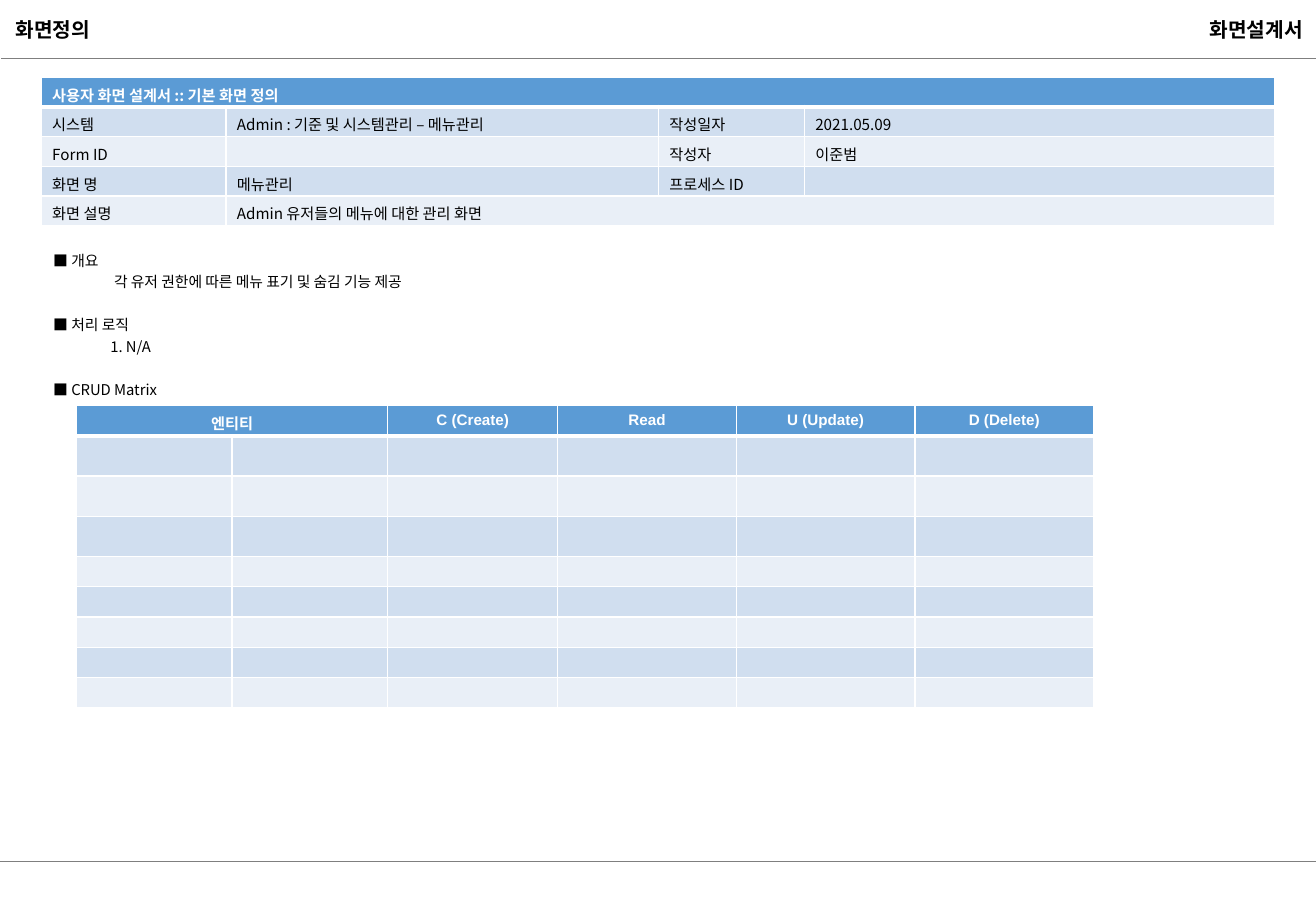
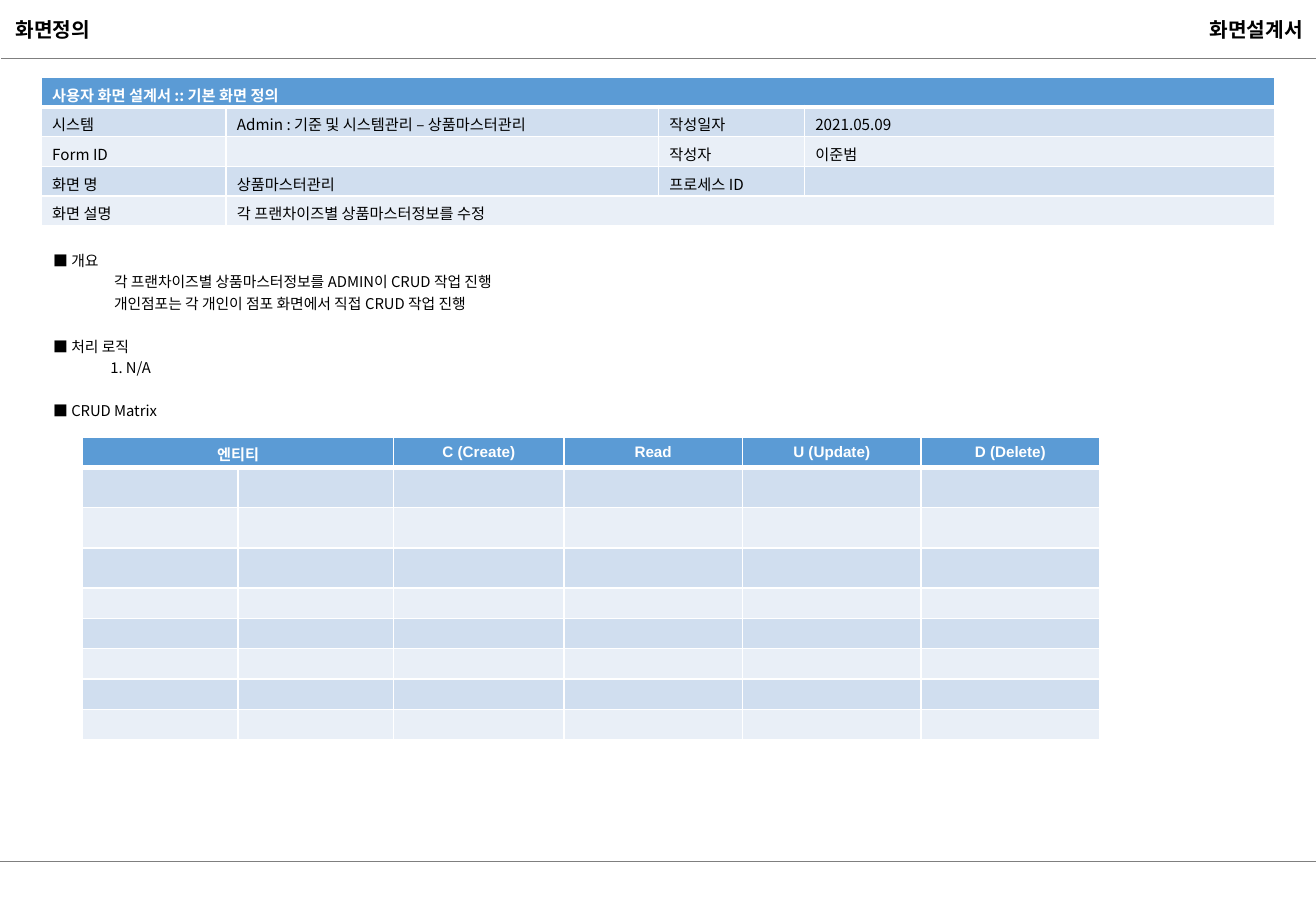
from lxml.etree import SubElement
from pptx import Presentation
from pptx.dml.color import RGBColor
from pptx.enum.shapes import MSO_CONNECTOR as Connector
from pptx.enum.text import MSO_ANCHOR as Anchor, PP_ALIGN as Align
from pptx.oxml.ns import qn
from pptx.util import Inches, Pt

KOREAN, LATIN = "Noto Sans CJK KR", "Arial"
BLACK, WHITE, RULE = "000000", "FFFFFF", "7F7F7F"
HEADER, BANDS = "5B9BD5", ("D0DEEF", "E9EFF7")
LINE_PITCH = 12.75

TITLE_STYLE = dict(name=KOREAN, size=Pt(12), bold=True)
CELL_STYLE = dict(name=KOREAN, size=Pt(9), bold=False)
INFO_HEADER_STYLE = dict(CELL_STYLE, bold=True)
CRUD_HEADER_STYLE = dict(INFO_HEADER_STYLE, name=LATIN)
BODY_STYLE = dict(name=KOREAN, size=Pt(8.8))

INFO_COLS = (1.52, 3.56, 1.2, 3.87)
INFO_ROWS = (0.24,) + (0.245,) * 4
CRUD_COLS = (1.28, 1.28, 1.4, 1.47, 1.47, 1.47)
CRUD_ROWS = (0.25,) + (0.33,) * 3 + (0.25,) * 5
CRUD_HEADINGS = ["엔티티", "", "C (Create)", "Read", "U (Update)", "D (Delete)"]

SCREENS = [
    dict(name="메뉴관리",
         description="Admin 유저들의 메뉴에 대한 관리 화면",
         overview=["각 유저 권한에 따른 메뉴 표기 및 숨김 기능 제공"],
         crud_at=(0.63, 3.34)),
    dict(name="상품마스터관리",
         description="각 프랜차이즈별 상품마스터정보를 수정",
         overview=["각 프랜차이즈별 상품마스터정보를 ADMIN이 CRUD 작업 진행",
                   "개인점포는 각 개인이 점포 화면에서 직접 CRUD 작업 진행"],
         crud_at=(0.68, 3.6)),
]


def rgb(value):
    return RGBColor.from_string(value)


def write(paragraph, text, style, color=BLACK):
    run = paragraph.add_run()
    run.text = text
    for key, value in style.items():
        setattr(run.font, key, value)
    run.font.color.rgb = rgb(color)
    SubElement(run.font._element, qn("a:ea"), typeface=KOREAN)


def place(shape, left, top, width, height):
    box = dict(left=left, top=top, width=width, height=height)
    for key, value in box.items():
        setattr(shape, key, Inches(value))


def write_heading(shape, text, align, box):
    """Bold line in the top band."""
    place(shape, *box)
    frame = shape.text_frame
    frame.word_wrap = False
    frame.vertical_anchor = Anchor.MIDDLE
    frame.paragraphs[0].alignment = align
    write(frame.paragraphs[0], text, TITLE_STYLE)


def add_rule(slide, left, y):
    rule = slide.shapes.add_connector(
        Connector.STRAIGHT, Inches(left), Inches(y), Inches(10.83), Inches(y))
    rule.line.color.rgb = rgb(RULE)
    rule.line.width = Pt(0.75)
    SubElement(rule._element.spPr, qn("a:effectLst"))
    return rule


def share_frame(slide):
    """Rules and document name, moved to the layout so every slide shows them."""
    document_name = slide.shapes.add_textbox(0, 0, 0, 0)
    write_heading(document_name, "화면설계서", Align.RIGHT, (7.75, 0.09, 3.07, 0.3))
    parts = [add_rule(slide, 0, 7.09), add_rule(slide, 0.01, 0.48), document_name]
    for part in parts:
        slide.slide_layout.shapes._spTree.append(part._element)


def set_borders(cell, row):
    widths = dict(L=1, R=1, T=3 if row == 1 else 1, B=3 if row == 0 else 1)
    for side, width in widths.items():
        line = SubElement(cell._tc.get_or_add_tcPr(), qn(f"a:ln{side}"), w=str(Pt(width)))
        fill = SubElement(line, qn("a:solidFill"))
        SubElement(fill, qn("a:srgbClr"), val=WHITE)


def add_banded_table(slide, left, top, cols, rows, texts, header_style, header_align, inset):
    table = slide.shapes.add_table(
        len(rows), len(cols), Inches(left), Inches(top),
        Inches(sum(cols)), Inches(sum(rows))).table
    table.first_row = table.horz_banding = False
    for column, width in zip(table.columns, cols):
        column.width = Inches(width)
    for r, height in enumerate(rows):
        table.rows[r].height = Inches(height)
        for c, text in enumerate(texts[r]):
            cell = table.cell(r, c)
            set_borders(cell, r)
            cell.fill.solid()
            cell.fill.fore_color.rgb = rgb(BANDS[(r - 1) % 2] if r else HEADER)
            cell.margin_left = cell.margin_right = Inches(inset)
            cell.margin_top, cell.margin_bottom = Inches(0.05), 0
            paragraph = cell.text_frame.paragraphs[0]
            if text:
                paragraph.alignment = Align.LEFT if r else header_align
                write(paragraph, text, CELL_STYLE if r else header_style,
                      BLACK if r else WHITE)
            else:
                # Keeps the row from growing to the default text size
                SubElement(paragraph._p, qn("a:endParaRPr"), sz="900")
    return table


def add_info_table(slide, left, top, name, description):
    texts = [
        ["사용자 화면 설계서 :: 기본 화면 정의", "", "", ""],
        ["시스템", f"Admin : 기준 및 시스템관리 – {name}", "작성일자", "2021.05.09"],
        ["Form ID", "", "작성자", "이준범"],
        ["화면 명", name, "프로세스 ID", ""],
        ["화면 설명", description, "", ""],
    ]
    table = add_banded_table(slide, left, top, INFO_COLS, INFO_ROWS, texts,
                             INFO_HEADER_STYLE, Align.LEFT, 0.09)
    table.cell(0, 0).merge(table.cell(0, 3))
    table.cell(4, 1).merge(table.cell(4, 3))


def add_sections(slide, box, overview):
    """Headed sections above the CRUD table."""
    body = slide.shapes.add_textbox(0, 0, 0, 0)
    place(body, *box)
    frame = body.text_frame
    frame.word_wrap = True
    sections = [("개요", 0.5, overview), ("처리 로직", 0.47, ["1. N/A"]),
                ("CRUD Matrix", 0, [])]
    for i, (heading, indent, lines) in enumerate(sections):
        for j, text in enumerate([f"■ {heading}", *lines]):
            first = i == j == 0
            paragraph = frame.paragraphs[0] if first else frame.add_paragraph()
            paragraph.line_spacing = Pt(LINE_PITCH)
            if j:
                paragraph.level = 1
                paragraph._p.get_or_add_pPr().set("marL", str(Inches(indent)))
            elif i:
                paragraph.space_before = Pt(LINE_PITCH)
            write(paragraph, text, BODY_STYLE)


def add_crud_table(slide, left, top):
    texts = [CRUD_HEADINGS] + [[""] * len(CRUD_COLS)] * (len(CRUD_ROWS) - 1)
    table = add_banded_table(slide, left, top, CRUD_COLS, CRUD_ROWS, texts,
                             CRUD_HEADER_STYLE, Align.CENTER, 0.1)
    table.cell(0, 0).merge(table.cell(0, 1))


def add_screen(prs, screen):
    slide = prs.slides.add_slide(prs.slide_layouts[5])
    write_heading(slide.shapes.title, "화면정의", Align.LEFT, (0.03, 0.09, 0.87, 0.3))
    add_info_table(slide, 0.34, 0.64, screen["name"], screen["description"])
    add_sections(slide, (0.34, 1.99, 10.16, 1.32), screen["overview"])
    add_crud_table(slide, *screen["crud_at"])
    return slide


def main():
    prs = Presentation()
    prs.slide_width, prs.slide_height = Inches(10.83), Inches(7.5)
    slides = [add_screen(prs, screen) for screen in SCREENS]
    share_frame(slides[0])
    prs.save("out.pptx")


if __name__ == "__main__":
    main()
